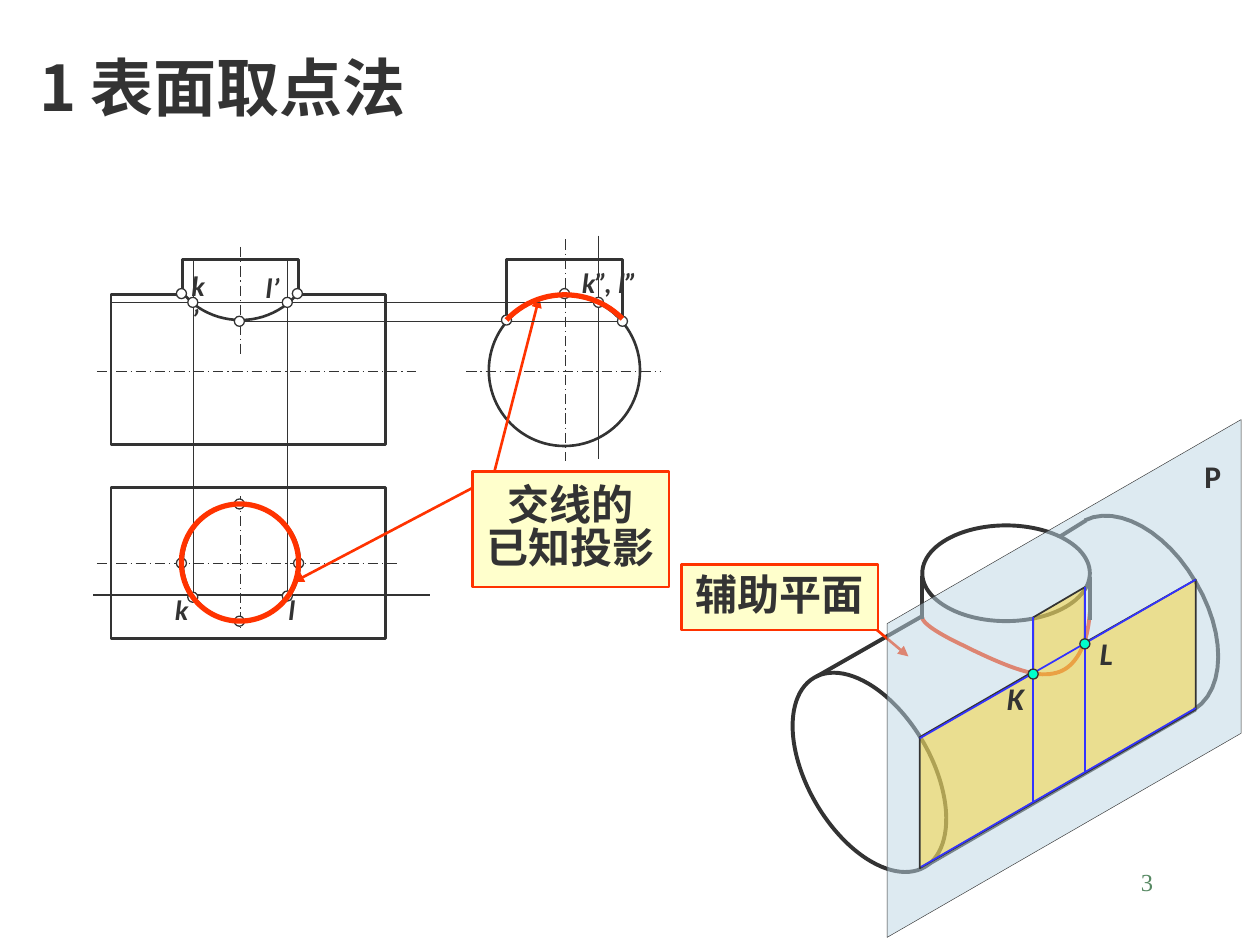
from lxml import etree
from pptx import Presentation
from pptx import util as u
from pptx.dml.color import RGBColor
from pptx.enum import dml, shapes, text
from pptx.oxml.ns import qn

# Theme: colours, fonts, type sizes, line styles (colour, points, dash)
theme = {
    "ink": "333333", "red": "FF3300", "cream": "FFFFCC", "white": "FFFFFF",
    "blue": "3333FF", "mint": "00FFCC", "pale": "BDD7E5", "gold": "FFCC00",
    "green": "578963",
    "han": "Noto Sans CJK SC", "sans": "Calibri", "serif": "Times New Roman",
    "head": 36, "box": 24, "mark": 18, "note": 16, "page": 14,
}
lines = {
    "edge": ("ink", 1.5), "axis": ("ink", 0.75, dml.MSO_LINE.LONG_DASH_DOT),
    "thin": ("ink", 0.25), "fine": ("ink", 0.75), "cut": ("ink", 1),
    "bold": ("ink", 2.25), "arrow": ("red", 1.5), "frame": ("red", 1.5),
    "known": ("red", 3), "curve": ("red", 2.25), "trace": ("blue", 1),
}
DOT = 0.08
STEPS = 12

# Content, positions in inches, drawn from back to front
title = "1 表面取点法"
views = [
    # top view
    ("line", "axis", [(0.77, 4.47, 3.18, 4.47), (1.91, 3.94, 1.91, 5)]),
    ("oval", "edge", (1.45, 4, 0.93, 0.93)),
    ("poly", "edge", [(0.88, 5.07), (0.88, 3.87), (3.06, 3.87), (3.06, 5.07)]),
    # side view
    ("line", "axis", [(3.7, 2.95, 5.24, 2.95), (4.49, 1.9, 4.49, 3.66)]),
    ("oval", "edge", (3.88, 2.34, 1.2, 1.2)),
    ("open", "edge", [(4.02, 2.56), (4.02, 2.06), (4.94, 2.06), (4.94, 2.56)]),
    # front view
    ("line", "axis", [(1.91, 1.96, 1.91, 2.83), (0.77, 2.95, 3.3, 2.95)]),
    ("poly", "edge", [(0.88, 3.53), (0.88, 2.34), (1.45, 2.34), (1.45, 2.06),
                      (2.37, 2.06), (2.37, 2.34), (3.06, 2.34), (3.06, 3.53)]),
    # pointers and projection lines
    ("line", "arrow", [(3.85, 3.82, 2.33, 4.62), (3.85, 4.03, 4.28, 2.36)]),
    ("line", "thin", [(4.94, 2.55, 1.91, 2.55), (4.75, 2.4, 0.87, 2.4),
                      (1.53, 4.74, 1.53, 2.06), (2.28, 4.74, 2.28, 2.06)]),
    ("bend", "edge", [(2.37, 2.32), (2.26, 2.46), (2.09, 2.54), (1.91, 2.54),
                      (1.73, 2.54), (1.55, 2.46), (1.45, 2.32)]),
    ("dots", "white", [(1.44, 2.33), (2.36, 2.33), (1.9, 2.55), (1.53, 2.4),
                       (2.28, 2.4), (4.02, 2.54), (4.48, 2.33), (4.94, 2.55),
                       (1.44, 4.47), (2.37, 4.47), (1.9, 4), (1.9, 4.93)]),
    ("line", "cut", [(0.74, 4.72, 3.41, 4.72), (4.75, 1.87, 4.75, 3.64)]),
    ("dots", "white", [(2.28, 4.73), (1.53, 4.74), (4.75, 2.4)]),
    # known projections
    ("box", ["交线的", "已知投影"], (3.75, 3.74, 1.56, 0.92)),
    ("oval", "known", (1.44, 4, 0.93, 0.93)),
    ("bend", "known", [(4.02, 2.54), (4.14, 2.41), (4.31, 2.34), (4.48, 2.34),
                       (4.66, 2.34), (4.82, 2.41), (4.94, 2.53)]),
    ("note", "k", (1.29, 4.65, 0.31, 0.37)),
    ("wrap", "k’", (1.42, 2.08, 0.36, 0.37)),
    ("wrap", "k”, l”", (4.52, 2.06, 0.7, 0.37)),
    ("note", "l", (2.19, 4.65, 0.26, 0.37)),
    ("note", "l’", (2.01, 2.1, 0.31, 0.37)),
]
solid = [
    # two cylinders
    ("bend", "curve", [(7.32, 4.9), (7.32, 4.95), (7.47, 5.04), (7.64, 5.12),
                       (7.84, 5.22), (8.08, 5.33), (8.24, 5.35),
                       (8.37, 5.36), (8.46, 5.33), (8.53, 5.24),
                       (8.61, 5.14), (8.64, 5), (8.65, 4.86)]),
    ("line", "bold", [(8.65, 4.58, 8.65, 4.92), (7.35, 6.87, 9.49, 5.63)]),
    ("oval", "bold", (7.32, 4.17, 1.33, 0.76)),
    ("line", "bold", [(7.32, 4.57, 7.32, 4.91)]),
    ("oval", "bold", (6.41, 5.26, 0.98, 1.74), 329.7),
    ("line", "bold", [(6.48, 5.37, 7.32, 4.89), (8.41, 4.26, 8.62, 4.13)]),
    ("bend", "bold", [(8.61, 4.13), (8.87, 4), (9.26, 4.22), (9.49, 4.62),
                      (9.73, 5.02), (9.73, 5.47), (9.48, 5.63)]),
    # cutting plane and section
    ("box", ["辅助平面"], (5.41, 4.48, 1.56, 0.52)),
    ("line", "arrow", [(6.96, 5, 7.21, 5.21)]),
    ("poly", "thin", [(7.04, 7.44), (9.85, 5.82), (9.85, 3.33), (7.04, 4.95)],
     "pale", 50),
    ("mark", "P", (9.46, 3.58, 0.33, 0.4), False),
    ("poly", "cut", [(8.2, 4.9), (8.61, 4.66), (8.61, 5.1), (9.49, 4.6),
                     (9.49, 5.63), (7.3, 6.89), (7.3, 5.85), (8.2, 5.33)],
     "gold", 40),
    ("mark", "K", (7.84, 5.34, 0.44, 0.4)),
    ("line", "trace", [(8.61, 4.66, 8.61, 6.13), (8.2, 4.9, 8.2, 6.37),
                       (9.49, 5.62, 7.31, 6.88), (7.3, 5.86, 9.49, 4.6)]),
    ("dots", "mint", [(8.2, 5.35)]),
    ("mark", "L", (8.62, 4.98, 0.32, 0.4)),
    ("dots", "mint", [(8.61, 5.11)]),
]

deck = Presentation()
deck.slide_width, deck.slide_height = u.Cm(25.4), u.Cm(19.05)
slide = deck.slides.add_slide(deck.slide_layouts[5])
tree = slide.shapes


def cm(vals):
    return [u.Cm(v * 2.54) for v in vals]


def tint(name):
    return RGBColor.from_string(theme[name])


def put(obj, vals):
    for key, val in vals.items():
        setattr(obj, key, val)


# Formatting
def stroke(item, style):
    name, width, *dash = lines[style]
    item.line.color.rgb = tint(name)
    put(item.line, {"width": u.Pt(width), "dash_style": dash[0] if dash else None})
    if style == "arrow":
        etree.SubElement(item.line._get_or_add_ln(), qn("a:tailEnd"), type="triangle")


def paint(item, style, fill=None, alpha=None):
    item.shadow.inherit = False
    if fill:
        item.fill.solid()
        item.fill.fore_color.rgb = tint(fill)
    else:
        item.fill.background()
    if alpha:
        tone = item.fill._xPr.find(".//" + qn("a:srgbClr"))
        etree.SubElement(tone, qn("a:alpha"), val=str(alpha * 1000))
    stroke(item, style)


def write(item, rows, face, size, ink="ink", align="LEFT", mid=False, wrap=False,
          bold=True, tilt=False, lead=None):
    frame = item.text_frame
    put(frame, {"text": "\n".join(rows), "word_wrap": wrap,
                "auto_size": text.MSO_AUTO_SIZE.SHAPE_TO_FIT_TEXT,
                "vertical_anchor": text.MSO_ANCHOR.MIDDLE if mid else text.MSO_ANCHOR.TOP})
    for para in frame.paragraphs:
        put(para, {"alignment": text.PP_ALIGN[align], "line_spacing": lead})
        for run in para.runs:
            put(run.font, {"size": u.Pt(theme[size]), "name": theme[face],
                           "bold": bold, "italic": tilt})
            run.font.color.rgb = tint(ink)
            etree.SubElement(run._r.get_or_add_rPr(), qn("a:ea"), typeface=theme[face])


# Drawing parts
def line(style, ends):
    for end in ends:
        item = tree.add_connector(shapes.MSO_CONNECTOR.STRAIGHT, *cm(end))
        stroke(item, style)
        etree.SubElement(item._element.spPr, qn("a:effectLst"))


def oval(style, area, turn=0):
    item = tree.add_shape(shapes.MSO_SHAPE.OVAL, *cm(area))
    item.rotation = turn
    paint(item, style)


def dots(fill, spots):
    for x, y in spots:
        item = tree.add_shape(shapes.MSO_SHAPE.FLOWCHART_CONNECTOR,
                              *cm((x - DOT / 2, y - DOT / 2, DOT, DOT)))
        paint(item, "fine", fill)


def poly(style, spots, fill=None, alpha=None, close=True):
    first, *rest = [cm(p) for p in spots]
    pen = tree.build_freeform(*first)
    pen.add_line_segments(rest, close=close)
    paint(pen.convert_to_shape(), style, fill, alpha)


def trail(style, spots):
    poly(style, spots, close=False)


def bend(style, knots):
    """Draw joined cubic curves: a start, then two controls and an end each."""
    spots = [knots[0]]
    for i in range(0, len(knots) - 1, 3):
        for n in range(1, STEPS + 1):
            t = n / STEPS
            mix = ((1 - t) ** 3, 3 * t * (1 - t) ** 2, 3 * t * t * (1 - t), t ** 3)
            spots.append([sum(m * p[k] for m, p in zip(mix, knots[i:i + 4]))
                          for k in (0, 1)])
    trail(style, spots)


def box(rows, area):
    item = tree.add_shape(shapes.MSO_SHAPE.RECTANGLE, *cm(area))
    paint(item, "frame", "cream")
    write(item, rows, "han", "box", align="CENTER", mid=True, lead=0.85)


def note(word, area, wrap=False):
    write(tree.add_textbox(*cm(area)), [word], "sans", "note", wrap=wrap, tilt=True)


def wide(word, area):
    note(word, area, wrap=True)


def mark(word, area, tilt=True):
    write(tree.add_textbox(*cm(area)), [word], "sans", "mark", align="CENTER",
          mid=True, tilt=tilt)


# Title, page number, then the drawing
put(tree.title, dict(zip(("left", "top", "width", "height"), cm((0.21, 0.38, 5.83, 0.7)))))
write(tree.title, [title], "han", "head", mid=True, wrap=True, lead=0.85)
write(tree.add_textbox(*cm((7.17, 6.83, 2.08, 0.5))), ["3"], "serif", "page", "green",
      "RIGHT", wrap=True, bold=False)
draw = {"line": line, "oval": oval, "dots": dots, "poly": poly, "open": trail,
        "bend": bend, "box": box, "note": note, "wrap": wide, "mark": mark}
for kind, *args in views + solid:
    draw[kind](*args)

deck.save("out.pptx")
